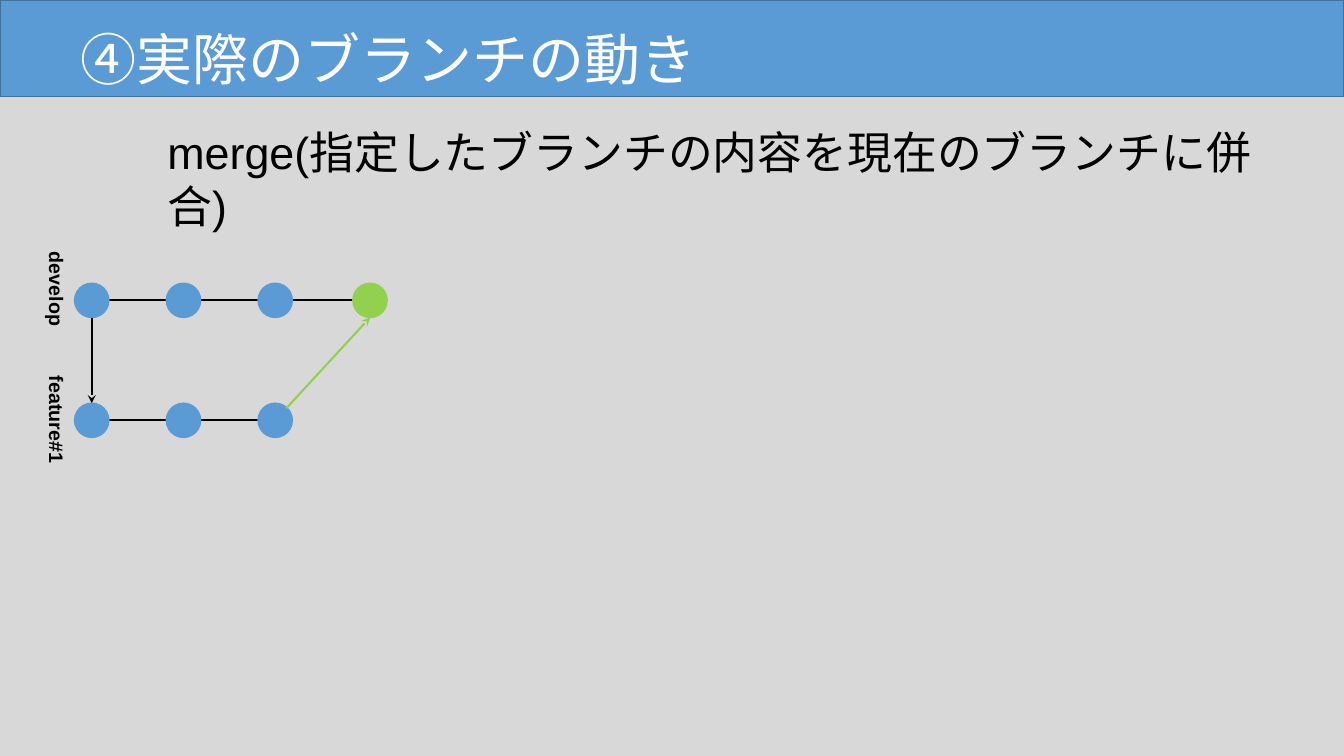
from lxml.etree import SubElement
from pptx import Presentation
from pptx.dml.color import RGBColor
from pptx.enum.shapes import MSO_CONNECTOR, MSO_SHAPE
from pptx.enum.text import MSO_ANCHOR, MSO_AUTO_SIZE, PP_ALIGN
from pptx.oxml.ns import qn
from pptx.util import Inches, Pt

TITLE = "④実際のブランチの動き"
MESSAGE = "merge(指定したブランチの内容を現在のブランチに併合)"

BACKGROUND = RGBColor(0xD8, 0xD8, 0xD8)
BLUE = RGBColor(0x5B, 0x9B, 0xD5)
DARK_BLUE = RGBColor(0x42, 0x71, 0x9B)
GREEN = RGBColor(0x92, 0xD0, 0x50)
BLACK = RGBColor(0, 0, 0)
WHITE = RGBColor(0xFF, 0xFF, 0xFF)

WIDTH, HEIGHT = 13.33, 7.5
BANNER_HEIGHT = 0.96
COLUMNS = (0.91, 1.82, 2.73, 3.67)
DEVELOP_ROW, FEATURE_ROW = 2.98, 4.17
RADIUS = 0.17
LABEL_CENTER, LABEL_HEIGHT = 0.54, 0.38

BRANCHES = [
    {"name": "develop", "row": DEVELOP_ROW, "label_top": 2.4, "label_length": 1.17,
     "commits": (BLUE, BLUE, BLUE, GREEN)},
    {"name": "feature#1", "row": FEATURE_ROW, "label_top": 3.63, "label_length": 1.43,
     "commits": (BLUE, BLUE, BLUE)},
]
ARROWS = [
    ((COLUMNS[0], DEVELOP_ROW + RADIUS), (COLUMNS[0], FEATURE_ROW - RADIUS), BLACK),
    ((COLUMNS[2] + 0.11, FEATURE_ROW - 0.12), (COLUMNS[3], DEVELOP_ROW + RADIUS), GREEN),
]


def place(shape, left, top, width, height):
    shape.left, shape.top = Inches(left), Inches(top)
    shape.width, shape.height = Inches(width), Inches(height)


def write(shape, text, size, color, bold=False):
    frame = shape.text_frame
    frame.word_wrap = True
    frame.auto_size = MSO_AUTO_SIZE.NONE
    frame.vertical_anchor = MSO_ANCHOR.TOP
    frame.text = text
    paragraph = frame.paragraphs[0]
    paragraph.alignment = PP_ALIGN.LEFT
    paragraph.space_before = Pt(0)
    paragraph.line_spacing = 1.0
    font = paragraph.runs[0].font
    font.name, font.size, font.bold = "Arial", Pt(size), bold
    font.color.rgb = color
    return paragraph


def add_filled(slide, preset, box, fill, outline):
    shape = slide.shapes.add_shape(preset, *map(Inches, box))
    shape.shadow.inherit = False
    shape.fill.solid()
    shape.fill.fore_color.rgb = fill
    shape.line.color.rgb = outline
    shape.line.width = Pt(1)
    return shape


def add_line(slide, start, end, color, arrow=False):
    line = slide.shapes.add_connector(
        MSO_CONNECTOR.STRAIGHT, *map(Inches, start + end))
    line.line.color.rgb = color
    line.line.width = Pt(1.5)
    if arrow:
        SubElement(line.line._get_or_add_ln(), qn("a:tailEnd"), type="stealth")
    SubElement(line._element.spPr, qn("a:effectLst"))


def add_branch(slide, branch):
    row, commits = branch["row"], branch["commits"]
    stops = COLUMNS[:len(commits)]
    for left, right in zip(stops, stops[1:]):
        add_line(slide, (left + RADIUS, row), (right - RADIUS, row), BLACK)
    for column, color in zip(stops, commits):
        box = (column - RADIUS, row - RADIUS, 2 * RADIUS, 2 * RADIUS)
        add_filled(slide, MSO_SHAPE.OVAL, box, color, color)

    length = branch["label_length"]
    label = slide.shapes.add_textbox(0, 0, 0, 0)
    place(label, LABEL_CENTER - length / 2,
          branch["label_top"] + (length - LABEL_HEIGHT) / 2, length, LABEL_HEIGHT)
    label.rotation = 90
    write(label, branch["name"], 14, BLACK, bold=True)


def main():
    presentation = Presentation()
    presentation.slide_width, presentation.slide_height = Inches(WIDTH), Inches(HEIGHT)
    slide = presentation.slides.add_slide(presentation.slide_layouts[1])
    slide.background.fill.solid()
    slide.background.fill.fore_color.rgb = BACKGROUND

    banner = add_filled(slide, MSO_SHAPE.RECTANGLE, (0, 0, WIDTH, BANNER_HEIGHT),
                        BLUE, DARK_BLUE)
    title, message = slide.placeholders
    title._element.addprevious(banner._element)

    place(title, 0.7, 0.19, 12.15, 0.77)
    write(title, TITLE, 40, WHITE)

    place(message, 1.56, 1.19, 11.29, 0.64)
    properties = write(message, MESSAGE, 32, BLACK)._p.get_or_add_pPr()
    properties.set("marL", "0")
    properties.set("indent", "0")
    SubElement(properties, qn("a:buNone"))

    for branch in BRANCHES:
        add_branch(slide, branch)
    for start, end, color in ARROWS:
        add_line(slide, start, end, color, arrow=True)

    presentation.save("out.pptx")


if __name__ == "__main__":
    main()
